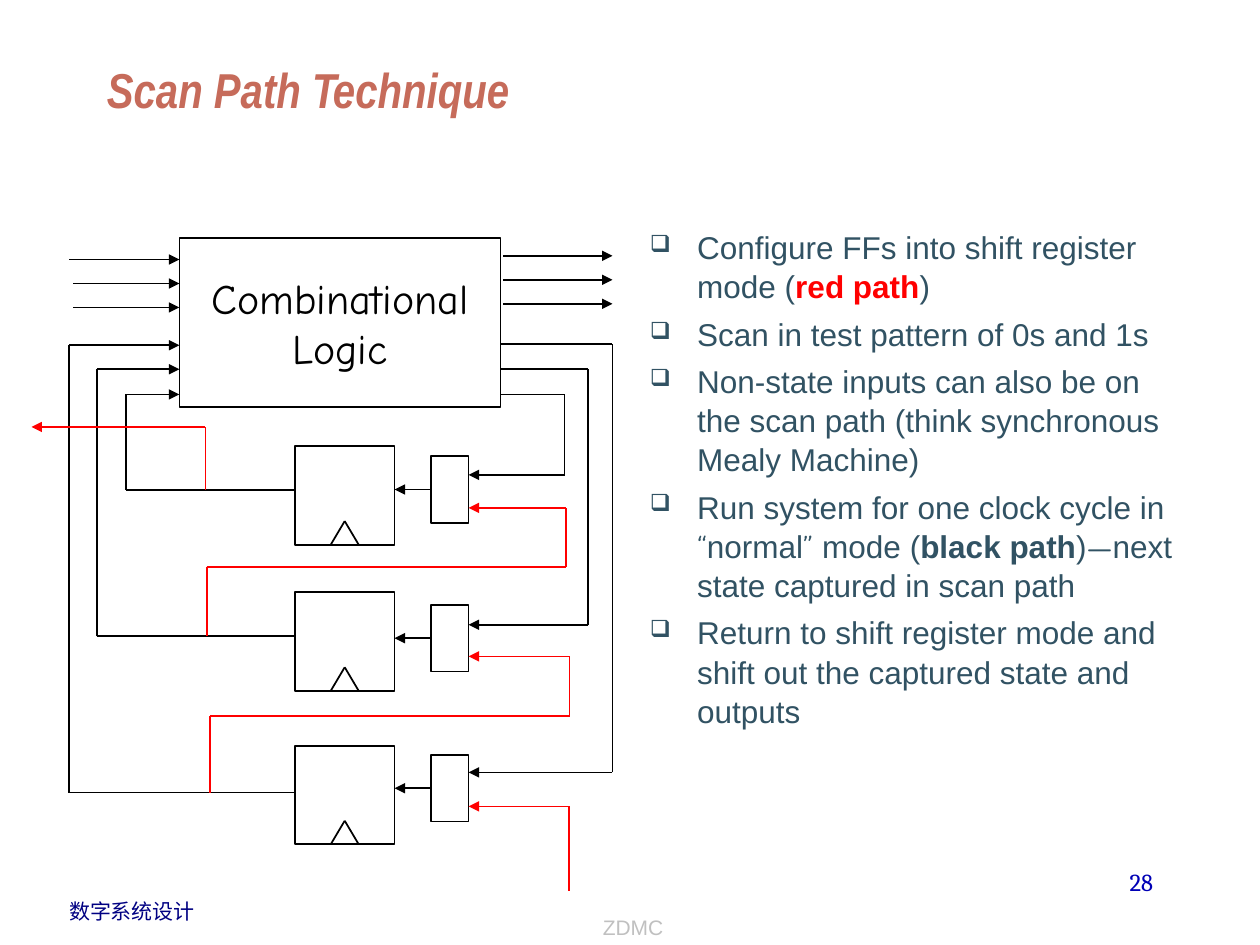
from dataclasses import dataclass
from itertools import pairwise

from lxml import etree
from pptx import Presentation
from pptx.dml.color import RGBColor
from pptx.enum import shapes, text
from pptx.oxml import ns
from pptx.util import Pt


@dataclass(frozen=True)
class Theme:
    ink: str = "000000"
    scan: str = "FF0000"
    heading: str = "C66B5A"
    body: str = "315263"
    footer: str = "000082"
    number: str = "0000B6"
    muted: str = "C0C0C0"
    title_size: int = 28
    block_size: int = 24
    body_size: int = 18
    number_size: int = 14
    footer_size: int = 12
    sans: str = "Arial"
    narrow: str = "Arial Narrow"
    serif: str = "Cambria"
    hand: str = "Comic Neue"


theme = Theme()
prs = Presentation()
prs.slide_width, prs.slide_height = Pt(720), Pt(540)
slide = prs.slides.add_slide(prs.slide_layouts[6])


def write_text(shape, paragraphs, size, color, font=theme.sans, bold=False, italic=False,
               align=text.PP_ALIGN.LEFT, anchor=text.MSO_ANCHOR.TOP, wrap=True):
    """Each paragraph is a list of runs: plain text, or (text, format changes)."""
    frame = shape.text_frame
    frame.word_wrap = wrap
    frame.vertical_anchor = anchor
    for i, runs in enumerate(paragraphs):
        paragraph = frame.paragraphs[0] if i == 0 else frame.add_paragraph()
        paragraph.alignment = align
        for piece in runs:
            words, changes = (piece, {}) if isinstance(piece, str) else piece
            look = {"font": font, "color": color, "bold": bold} | changes
            run = paragraph.add_run()
            run.text = words
            run.font.name = look["font"]
            run.font.size = Pt(size)
            run.font.bold = look["bold"]
            run.font.italic = italic
            run.font.color.rgb = RGBColor.from_string(look["color"])


def draw_wire(points, color=theme.ink, arrow=False):
    """Join the points with straight segments and return the segments."""
    segments = []
    for start, end in pairwise(points):
        segment = slide.shapes.add_connector(
            shapes.MSO_CONNECTOR.STRAIGHT, *(Pt(v) for v in (*start, *end)))
        segment.line.color.rgb = RGBColor.from_string(color)
        segment.line.width = Pt(1)
        etree.SubElement(segment._element.spPr, ns.qn("a:effectLst"))
        segments.append(segment)
    if arrow:
        etree.SubElement(segments[-1].line._get_or_add_ln(), ns.qn("a:tailEnd"), type="triangle")
    return segments


# Title, footer and page number
title = slide.shapes.add_textbox(Pt(54), Pt(18), Pt(612), Pt(53.3))
write_text(title, [["Scan Path Technique"]], theme.title_size, theme.heading,
           font=theme.narrow, bold=True, italic=True, anchor=text.MSO_ANCHOR.BOTTOM)
course = slide.shapes.add_textbox(Pt(32.4), Pt(509.8), Pt(86.4), Pt(21.6))
write_text(course, [["数字系统设计"]], theme.footer_size, theme.footer, wrap=False)
page_number = slide.shapes.add_textbox(Pt(516.2), Pt(491.8), Pt(149.8), Pt(36))
write_text(page_number, [["28"]], theme.number_size, theme.number,
           font=theme.serif, align=text.PP_ALIGN.RIGHT)
group_label = slide.shapes.add_textbox(Pt(186.5), Pt(504), Pt(350.6), Pt(36.7))
write_text(group_label, [["ZDMC"]], theme.footer_size, theme.muted,
           align=text.PP_ALIGN.CENTER, anchor=text.MSO_ANCHOR.BOTTOM)

# Explanation
hand = {"font": theme.hand}
explanation = slide.shapes.add_textbox(Pt(364.3), Pt(126), Pt(316.1), Pt(381.6))
write_text(explanation, [
    ["Configure FFs into shift register mode (",
     ("red path", {"color": theme.scan, "bold": True}), ")"],
    ["Scan in test pattern of 0s and 1s"],
    ["Non-state inputs can also be on the scan path (think synchronous Mealy Machine)"],
    ["Run system for one clock cycle in ", ("“", hand), "normal", ("”", hand), " mode (",
     ("black path", {"bold": True}), ")", ("—", hand), "next state captured in scan path"],
    ["Return to shift register mode and shift out the captured state and outputs"],
], theme.body_size, theme.body)
for i, point in enumerate(explanation.text_frame.paragraphs):
    point.line_spacing = 1.04
    point.space_before = Pt(4.5 if i else 0)
    props = point._p.get_or_add_pPr()
    props.set("marL", str(Pt(27)))
    props.set("indent", str(Pt(-27)))
    bullet_color = etree.SubElement(props, ns.qn("a:buClr"))
    etree.SubElement(bullet_color, ns.qn("a:srgbClr"), val=theme.body)
    etree.SubElement(props, ns.qn("a:buSzPct"), val="75000")
    etree.SubElement(props, ns.qn("a:buChar"), char="❑")

# Combinational logic, then a flip-flop and a multiplexer per row
ff_left, ff_width, ff_height = 168.5, 57, 56.3
mux_left, mux_width, mux_height = 246.2, 21.6, 38.2
mux_right = mux_left + mux_width
ff_tops = (255, 338.5, 426.2)
mux_tops = (260.6, 345.6, 431.3)
logic_left, logic_right = 102.5, 286.5

boxes = [(logic_left, 136.1, 183.6, 96.5)]
boxes += [(ff_left, top, ff_width, ff_height) for top in ff_tops]
boxes += [(mux_left, top, mux_width, mux_height) for top in mux_tops]
blocks = []
for box in boxes:
    block = slide.shapes.add_shape(shapes.MSO_SHAPE.RECTANGLE, *(Pt(v) for v in box))
    block.shadow.inherit = False
    block.fill.background()
    block.line.color.rgb = RGBColor.from_string(theme.ink)
    block.line.width = Pt(1)
    blocks.append(block)
logic, muxes = blocks[0], blocks[4:]
write_text(logic, [["Combinational"], ["Logic"]], theme.block_size, theme.ink, font=theme.hand,
           align=text.PP_ALIGN.CENTER, anchor=text.MSO_ANCHOR.MIDDLE, wrap=False)

for ff_top, mux_top, mux in zip(ff_tops, mux_tops, muxes):
    middle = mux_top + mux_height / 2
    data, = draw_wire([(mux_left, middle), (ff_left + ff_width, middle)], arrow=True)
    data.begin_connect(mux, 1)
    bottom, center = ff_top + ff_height, ff_left + ff_width / 2
    draw_wire([(center - 8, bottom), (center, bottom - 13.5), (center + 8, bottom)])

# Primary inputs and outputs
for i, input_left in enumerate((39.6, 41.8, 41.8)):
    input_y, output_y = 148.3 + 13.7 * i, 146.2 + 13.7 * i
    draw_wire([(input_left, input_y), (logic_left, input_y)], arrow=True)
    draw_wire([(logic_right + 1, output_y), (350, output_y)], arrow=True)

# Normal path: state back to the logic, next state to the multiplexers
state_ys = (280, 363.6, 452.9)
for x, state_y, logic_y in zip((72, 55.4, 39.6), state_ys, (225.4, 211, 197.3)):
    draw_wire([(ff_left, state_y), (x, state_y), (x, logic_y), (logic_left, logic_y)], arrow=True)
for x, logic_y, mux_y in zip((322.6, 336.2, 350), (225.4, 211, 196.6), (271.4, 357, 441.4)):
    draw_wire([(logic_right, logic_y), (x, logic_y), (x, mux_y), (mux_right, mux_y)], arrow=True)

# Scan path, from scan-in at the bottom to scan-out at the top left
scan_wires = (
    [(325, 509), (325, 460.8), (mux_right, 460.8)],
    [(120.2, state_ys[2]), (120.2, 409), (325.5, 409), (325.5, 375.1), (mux_right, 375.1)],
    [(118.1, state_ys[1]), (118.1, 324), (323.5, 324), (323.5, 290.2), (mux_right, 290.2)],
    [(117.4, state_ys[0]), (117.4, 244), (18, 244)],
)
for scan_wire in scan_wires:
    draw_wire(scan_wire, color=theme.scan, arrow=True)

prs.save("out.pptx")
